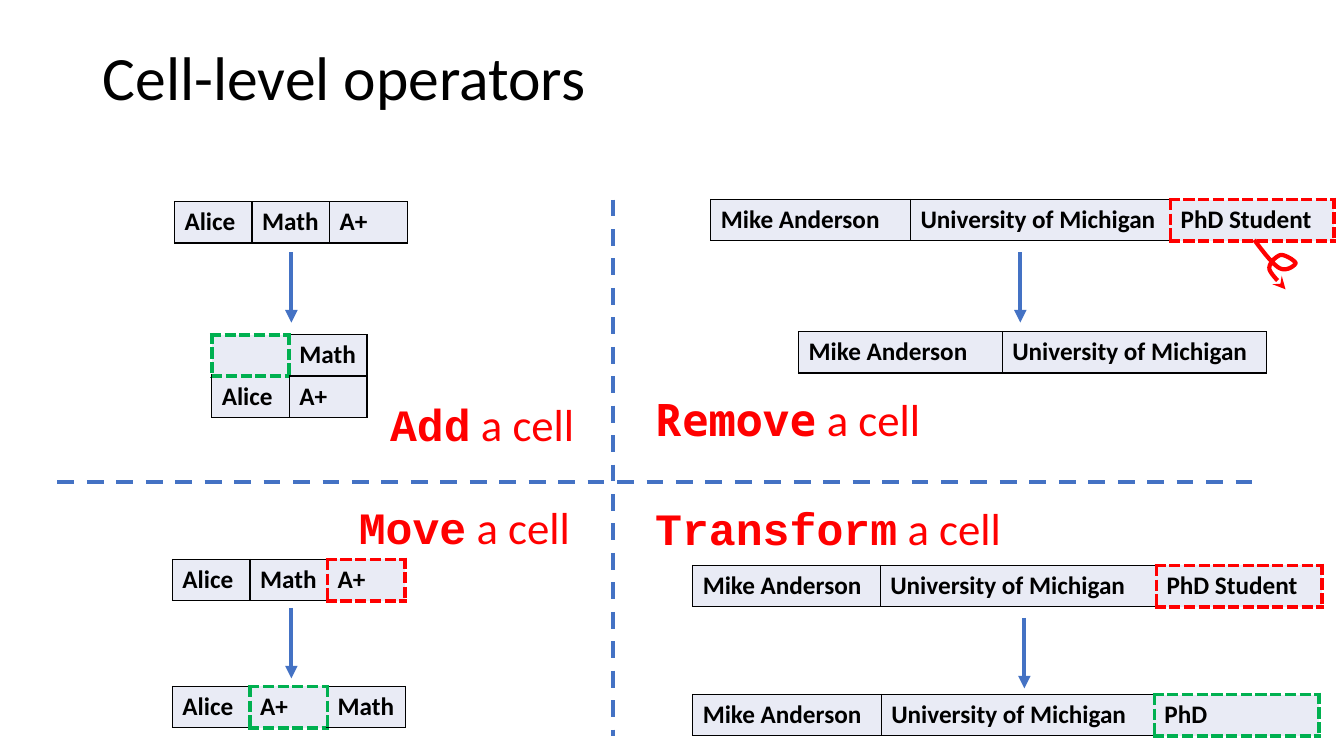
from dataclasses import dataclass
from typing import Any, Optional

from lxml import etree
from pptx import Presentation, util as u
from pptx.dml.color import RGBColor
from pptx.enum import dml, shapes, text
from pptx.oxml import ns

COLORS = {
    "black": "000000",
    "blue": "4472C4",
    "red": "FF0000",
    "green": "00B050",
    "cell": "E9EBF5",
}
ROW_HEIGHT = 0.41
ARROW_LENGTH = 0.7
LABEL_HEIGHT = 0.64
CELL_FONT = {"size": u.Pt(18), "name": "Calibri", "bold": True}


@dataclass(frozen=True)
class CellTable:
    left: float
    top: float
    widths: tuple[float, ...]
    rows: tuple[tuple[str, ...], ...]
    marked: Optional[tuple[int, int]] = None
    mark_color: str = "red"


@dataclass(frozen=True)
class Label:
    left: float
    top: float
    width: float
    operator: str
    font: str = "Courier New"


@dataclass(frozen=True)
class Line:
    start: tuple[float, float]
    end: tuple[float, float]
    dashed: bool = False


GRADE_WIDTHS = (0.77, 0.77, 0.77)
PERSON = ("Mike Anderson", "University of Michigan")
STUDENT = (PERSON + ("PhD Student",),)
GRADES = (("Alice", "Math", "A+"),)

TABLES = [
    # Add
    CellTable(1.73, 2, GRADE_WIDTHS, GRADES),
    CellTable(2.1, 3.32, GRADE_WIDTHS[:2], (("", "Math"), ("Alice", "A+")), (0, 0), "green"),
    # Remove
    CellTable(7.05, 1.98, (1.98, 2.58, 1.62), STUDENT, (0, 2)),
    CellTable(7.92, 3.29, (2.02, 2.62), (PERSON,)),
    # Move
    CellTable(1.71, 5.55, GRADE_WIDTHS, GRADES, (0, 2)),
    CellTable(1.71, 6.81, GRADE_WIDTHS, (("Alice", "A+", "Math"),), (0, 1), "green"),
    # Transform
    CellTable(6.87, 5.61, (1.86, 2.74, 1.64), STUDENT, (0, 2)),
    CellTable(6.87, 6.89, (1.87, 2.71, 1.63), (PERSON + ("PhD",),), (0, 2), "green"),
]
LABELS = [
    Label(3.77, 3.89, 2.26, "Add"),
    Label(6.4, 3.84, 2.93, "Remove", "Noto Sans Mono"),
    Label(3.46, 4.91, 2.39, "Move"),
    Label(6.4, 4.92, 4, "Transform"),
]
ARROW_STARTS = [(2.89, 2.5), (10.12, 2.5), (2.89, 6.03), (10.16, 6.13)]
LINES = [Line((x, y), (x, y + ARROW_LENGTH)) for x, y in ARROW_STARTS] + [
    Line((0.57, 4.78), (12.52, 4.78), dashed=True),
    Line((6.08, 1.98), (6.08, 7.3), dashed=True),
]

# Cubic curve of the discarded cell: a start, then two controls and an end each
LOOP_START = (12.44, 2.38)
LOOP_CURVES = [
    ((12.53, 2.5), (12.62, 2.62), (12.69, 2.66)),
    ((12.76, 2.7), (12.85, 2.63), (12.85, 2.61)),
    ((12.85, 2.59), (12.74, 2.52), (12.7, 2.53)),
    ((12.66, 2.54), (12.58, 2.61), (12.59, 2.67)),
    ((12.6, 2.72), (12.72, 2.83), (12.75, 2.87)),
]
CURVE_STEPS = 10


def color(name: str) -> RGBColor:
    return RGBColor.from_string(COLORS[name])


def apply_format(target: Any, values: dict[str, Any]) -> None:
    for name, value in values.items():
        setattr(target, name, value)


def format_font(font: Any, values: dict[str, Any], color_name: str) -> None:
    apply_format(font, values)
    font.color.rgb = color(color_name)


def style_line(shape: Any, color_name: str, arrowhead: Optional[str] = None) -> None:
    shape.line.color.rgb = color(color_name)
    shape.line.width = u.Pt(3)
    if arrowhead:
        line = shape.element.spPr.find(ns.qn("a:ln"))
        etree.SubElement(line, ns.qn("a:tailEnd"), type=arrowhead)


def set_borders(cell: Any, side_colors: list[str]) -> None:
    """Draw left, right, top and bottom; any colour but black is thick and dashed."""
    properties = cell._tc.get_or_add_tcPr()
    for index, (side, name) in enumerate(zip("LRTB", side_colors)):
        plain = name == "black"
        border = etree.Element(ns.qn(f"a:ln{side}"), w=str(u.Pt(1 if plain else 3)))
        fill = etree.SubElement(border, ns.qn("a:solidFill"))
        etree.SubElement(fill, ns.qn("a:srgbClr"), val=COLORS[name])
        etree.SubElement(border, ns.qn("a:prstDash"), val="solid" if plain else "sysDash")
        properties.insert(index, border)


def add_cell_table(slide: Any, item: CellTable) -> None:
    frame = slide.shapes.add_table(
        len(item.rows), len(item.widths), u.Inches(item.left), u.Inches(item.top),
        u.Inches(sum(item.widths)), u.Inches(ROW_HEIGHT * len(item.rows)))
    table = frame.table
    apply_format(table, {"first_row": False, "horz_banding": False})
    for column, width in zip(table.columns, item.widths):
        column.width = u.Inches(width)
    for row_index, row in enumerate(item.rows):
        table.rows[row_index].height = u.Inches(ROW_HEIGHT)
        for column_index, words in enumerate(row):
            cell = table.cell(row_index, column_index)
            cell.fill.solid()
            cell.fill.fore_color.rgb = color("cell")
            if words:
                run = cell.text_frame.paragraphs[0].add_run()
                run.text = words
                format_font(run.font, CELL_FONT, "black")
            # A side takes the mark's colour if the marked cell lies on it
            place = (row_index, column_index)
            neighbours = [(row_index, column_index - 1), (row_index, column_index + 1),
                          (row_index - 1, column_index), (row_index + 1, column_index)]
            set_borders(cell, [
                item.mark_color if item.marked in (place, neighbour) else "black"
                for neighbour in neighbours])


def add_label(slide: Any, label: Label) -> None:
    box = slide.shapes.add_textbox(u.Inches(label.left), u.Inches(label.top),
                                   u.Inches(label.width), u.Inches(LABEL_HEIGHT))
    apply_format(box.text_frame, {
        "word_wrap": True, "auto_size": text.MSO_AUTO_SIZE.SHAPE_TO_FIT_TEXT})
    paragraph = box.text_frame.paragraphs[0]
    for words, font, bold in ((label.operator, label.font, True), (" a cell", "Calibri", False)):
        run = paragraph.add_run()
        run.text = words
        format_font(run.font, {"size": u.Pt(32), "name": font, "bold": bold}, "red")


def add_line(slide: Any, line: Line) -> None:
    connector = slide.shapes.add_connector(
        shapes.MSO_CONNECTOR.STRAIGHT, *(u.Inches(value) for value in line.start + line.end))
    if line.dashed:
        connector.line.dash_style = dml.MSO_LINE.DASH
    style_line(connector, "blue", None if line.dashed else "triangle")
    etree.SubElement(connector.element.spPr, ns.qn("a:effectLst"))


def add_loop(slide: Any) -> None:
    points, start = [], LOOP_START
    for first, second, end in LOOP_CURVES:
        for step in range(1, CURVE_STEPS + 1):
            t = step / CURVE_STEPS
            points.append(tuple(
                u.Inches((1 - t) ** 3 * a + 3 * (1 - t) ** 2 * t * b
                         + 3 * (1 - t) * t ** 2 * c + t ** 3 * d)
                for a, b, c, d in zip(start, first, second, end)))
        start = end
    # The builder rounds points to whole units, so they are given in EMU
    builder = slide.shapes.build_freeform(*(u.Inches(value) for value in LOOP_START))
    builder.add_line_segments(points, close=False)
    loop = builder.convert_to_shape()
    loop.shadow.inherit = False
    loop.fill.background()
    style_line(loop, "red", "stealth")


def main() -> None:
    presentation = Presentation()
    apply_format(presentation, {"slide_width": u.Inches(13.33), "slide_height": u.Inches(7.5)})
    slide = presentation.slides.add_slide(presentation.slide_layouts[5])

    # Title
    title = slide.shapes.title
    apply_format(title, {"left": u.Inches(0.92), "top": u.Inches(0.4),
                         "width": u.Inches(11.5), "height": u.Inches(0.8)})
    title.text_frame.text = "Cell-level operators"
    title.text_frame.vertical_anchor = text.MSO_ANCHOR.MIDDLE
    paragraph = title.text_frame.paragraphs[0]
    apply_format(paragraph, {"alignment": text.PP_ALIGN.LEFT, "line_spacing": 0.9})
    format_font(paragraph.runs[0].font, {"size": u.Pt(44), "name": "Calibri"}, "black")

    # Four operators, their arrows and the dividers
    for draw, items in ((add_label, LABELS), (add_cell_table, TABLES), (add_line, LINES)):
        for item in items:
            draw(slide, item)
    add_loop(slide)

    presentation.save("out.pptx")


if __name__ == "__main__":
    main()
